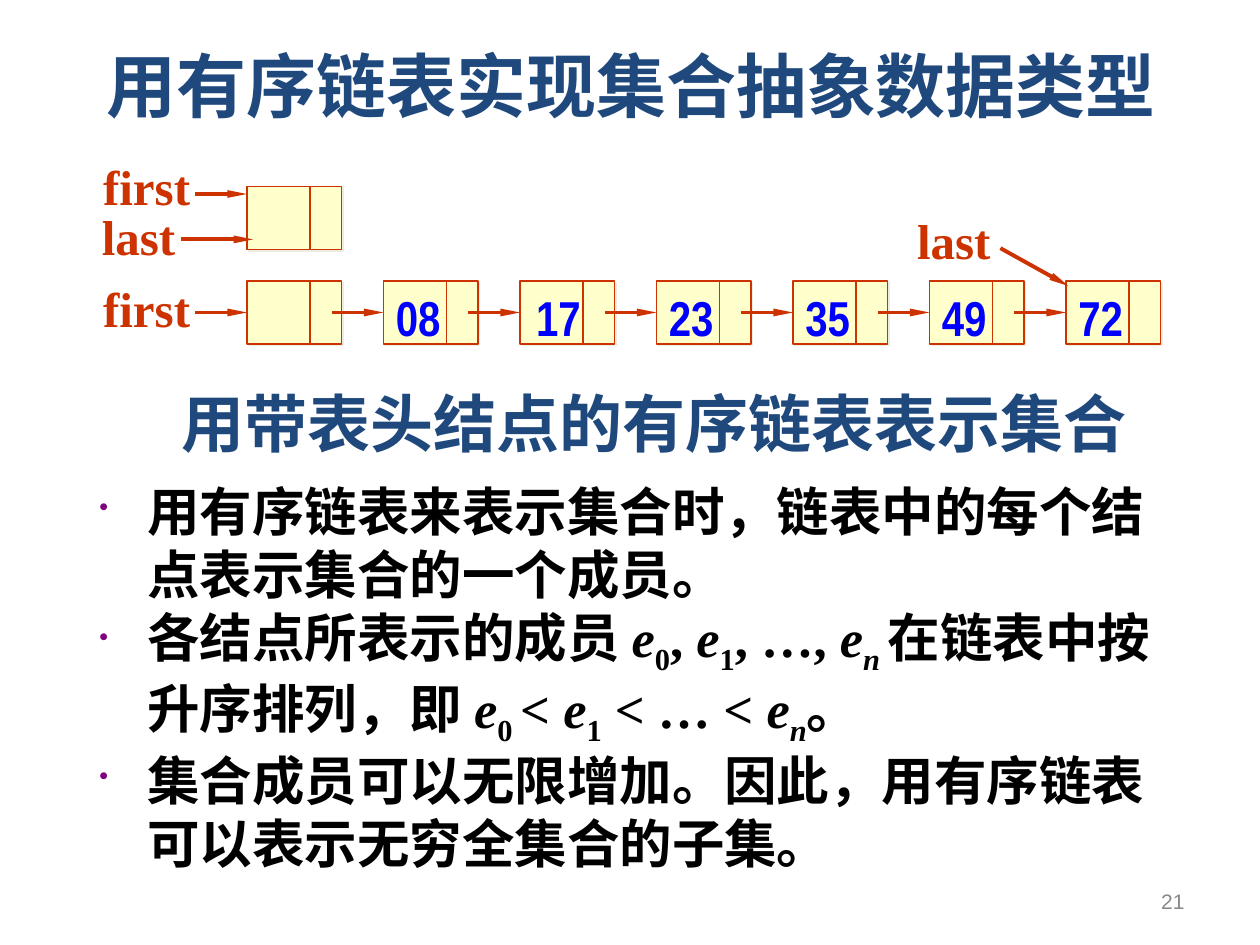
from dataclasses import dataclass

from lxml import etree
from pptx import Presentation
from pptx.dml.color import RGBColor
from pptx.enum.shapes import MSO_CONNECTOR, MSO_SHAPE
from pptx.enum.text import MSO_ANCHOR, MSO_AUTO_SIZE, PP_ALIGN
from pptx.oxml import parse_xml
from pptx.oxml.ns import nsdecls, qn
from pptx.util import Inches, Pt


@dataclass(frozen=True)
class Theme:
    heading: str = "1F497D"
    ink: str = "000000"
    red: str = "CC3300"
    cream: str = "FFFFCC"
    shadow: str = "EEECE1"
    blue: str = "0000FF"
    bullet: str = "800080"
    grey: str = "898989"
    serif: str = "Times New Roman"
    title_size: int = 40
    subtitle_size: int = 36
    body_size: int = 30
    label_size: int = 28
    number_size: int = 12


THEME = Theme()

# Linked list geometry, in inches
NODE_LEFT, LAST_NODE_LEFT = 1.96, 8.46
EMPTY_TOP, LIST_TOP = 1.48, 2.23
NODE_WIDTH, NODE_HEIGHT, DATA_WIDTH = 0.75, 0.5, 0.5
VALUE_WIDTH = 0.6
ARROW_LENGTH = 0.41
VALUES = ["", "08", "17", "23", "35", "49", "72"]
VALUE_SHIFT = {"17": 0.03}

# Each run is (text, style): i = italic, s = subscript
BULLETS = [
    [("用有序链表来表示集合时，链表中的每个结点表示集合的一个成员。", "")],
    [("各结点所表示的成员 ", ""), ("e", "i"), ("0", "s"), (", ", ""),
     ("e", "i"), ("1", "s"), (", …, ", ""), ("e", "i"), ("n ", "is"),
     ("在链表中按升序排列，即 ", ""), ("e", "i"), ("0 ", "s"), ("< ", ""),
     ("e", "i"), ("1", "s"), (" < … < ", ""), ("e", "i"), ("n", "is"),
     ("。", "")],
    [("集合成员可以无限增加。因此，用有序链表可以表示无穷全集合的子集。", "")],
]


def rgb(color):
    return RGBColor.from_string(color)


def add_run(paragraph, text, size, color, font=THEME.serif, bold=True, style=""):
    run = paragraph.add_run()
    run.text = text
    run.font.size = Pt(size)
    run.font.name = font
    run.font.bold = bold
    run.font.italic = "i" in style
    run.font.color.rgb = rgb(color)
    if "s" in style:
        run.font._element.set("baseline", "-25000")


def add_label(slide, text, left, top, width, height, size, color,
              font=THEME.serif, bold=True, align=PP_ALIGN.LEFT):
    box = slide.shapes.add_textbox(
        Inches(left), Inches(top), Inches(width), Inches(height))
    frame = box.text_frame
    frame.word_wrap = False
    frame.auto_size = MSO_AUTO_SIZE.SHAPE_TO_FIT_TEXT
    paragraph = frame.paragraphs[0]
    paragraph.alignment = align
    add_run(paragraph, text, size, color, font, bold)
    return box


def add_pointer_name(slide, text, left, top, width):
    add_label(slide, text, left, top, width, 0.57, THEME.label_size, THEME.red)


def add_line(slide, start, end, weight):
    line = slide.shapes.add_connector(
        MSO_CONNECTOR.STRAIGHT, *(Inches(value) for value in start + end))
    line.line.color.rgb = rgb(THEME.red)
    line.line.width = Pt(weight)
    etree.SubElement(line._element.spPr, qn("a:effectLst"))
    return line


def add_arrow(slide, start, end):
    arrow = add_line(slide, start, end, 2.25)
    head = etree.SubElement(arrow.line._get_or_add_ln(), qn("a:tailEnd"))
    for name, value in (("type", "triangle"), ("w", "sm"), ("len", "lg")):
        head.set(name, value)
    return arrow


def add_node(slide, left, top):
    """Draw a list node: a data field and a narrow link field."""
    node = slide.shapes.add_shape(
        MSO_SHAPE.RECTANGLE, Inches(left), Inches(top),
        Inches(NODE_WIDTH), Inches(NODE_HEIGHT))
    node.fill.solid()
    node.fill.fore_color.rgb = rgb(THEME.cream)
    node.line.color.rgb = rgb(THEME.red)
    node.line.width = Pt(0.75)
    node.shadow.inherit = False
    node._element.spPr.find(qn("a:effectLst")).append(parse_xml(
        f'<a:outerShdw {nsdecls("a")} dist="17780" dir="2700000">'
        f'<a:srgbClr val="{THEME.shadow}"/></a:outerShdw>'))
    divider = left + DATA_WIDTH
    add_line(slide, (divider, top), (divider, top + NODE_HEIGHT), 0.75)
    return node


def add_linked_list(slide):
    pitch = (LAST_NODE_LEFT - NODE_LEFT) / (len(VALUES) - 1)
    middle = LIST_TOP + NODE_HEIGHT / 2
    for index, value in enumerate(VALUES):
        left = NODE_LEFT + index * pitch
        node = add_node(slide, left, LIST_TOP)
        arrow = add_arrow(slide, (left - ARROW_LENGTH, middle), (left, middle))
        arrow.end_connect(node, 1)
        if value:
            add_label(slide, value, left + VALUE_SHIFT.get(value, 0), LIST_TOP,
                      VALUE_WIDTH, 0.57, THEME.label_size, THEME.blue,
                      "Arial Narrow")
    add_pointer_name(slide, "first", 0.72, 2.16, 0.89)
    add_pointer_name(slide, "last", 7.18, 1.62, 0.78)
    add_arrow(slide, (7.94, 1.97), (8.48, 2.27))


def add_empty_list(slide):
    add_node(slide, NODE_LEFT, EMPTY_TOP)
    add_pointer_name(slide, "first", 0.72, 1.19, 0.89)
    add_arrow(slide, (NODE_LEFT - ARROW_LENGTH, 1.54), (NODE_LEFT, 1.54))
    add_pointer_name(slide, "last", 0.71, 1.59, 0.78)
    add_arrow(slide, (1.44, 1.9), (2.01, 1.9))


def set_bullet(paragraph):
    properties = paragraph._p.get_or_add_pPr()
    properties.set("marL", str(Inches(0.38)))
    properties.set("indent", str(-Inches(0.38)))
    color = etree.SubElement(properties, qn("a:buClr"))
    etree.SubElement(color, qn("a:srgbClr")).set("val", THEME.bullet)
    etree.SubElement(properties, qn("a:buSzPct")).set("val", "50000")
    etree.SubElement(properties, qn("a:buChar")).set("char", "•")


def add_body(slide):
    box = slide.shapes.add_textbox(
        Inches(0.69), Inches(3.75), Inches(8.76), Inches(3.27))
    frame = box.text_frame
    frame.word_wrap = True
    for index, runs in enumerate(BULLETS):
        paragraph = frame.add_paragraph() if index else frame.paragraphs[0]
        set_bullet(paragraph)
        for text, style in runs:
            add_run(paragraph, text, THEME.body_size, THEME.ink, style=style)


def set_title(slide, text):
    title = slide.shapes.title
    title.left, title.top = Inches(0.51), Inches(0.1)
    title.width, title.height = Inches(9), Inches(1.14)
    title.text_frame.vertical_anchor = MSO_ANCHOR.MIDDLE
    paragraph = title.text_frame.paragraphs[0]
    paragraph.alignment = PP_ALIGN.CENTER
    add_run(paragraph, text, THEME.title_size, THEME.heading, "Calibri")


def main():
    presentation = Presentation()
    presentation.slide_width, presentation.slide_height = Inches(10), Inches(7.5)
    slide = presentation.slides.add_slide(presentation.slide_layouts[5])

    # Headings and text
    set_title(slide, "用有序链表实现集合抽象数据类型")
    add_body(slide)
    add_label(slide, "用带表头结点的有序链表表示集合", 1.34, 3, 7.7, 0.7,
              THEME.subtitle_size, THEME.heading, align=PP_ALIGN.CENTER)

    # Diagrams
    add_empty_list(slide)
    add_linked_list(slide)

    # Slide number
    number = add_label(slide, "21", 7.17, 6.95, 2.33, 0.4, THEME.number_size,
                       THEME.grey, "Arial", False, PP_ALIGN.RIGHT)
    number.text_frame.auto_size = MSO_AUTO_SIZE.NONE
    number.text_frame.word_wrap = True
    number.text_frame.vertical_anchor = MSO_ANCHOR.MIDDLE

    presentation.save("out.pptx")


if __name__ == "__main__":
    main()
